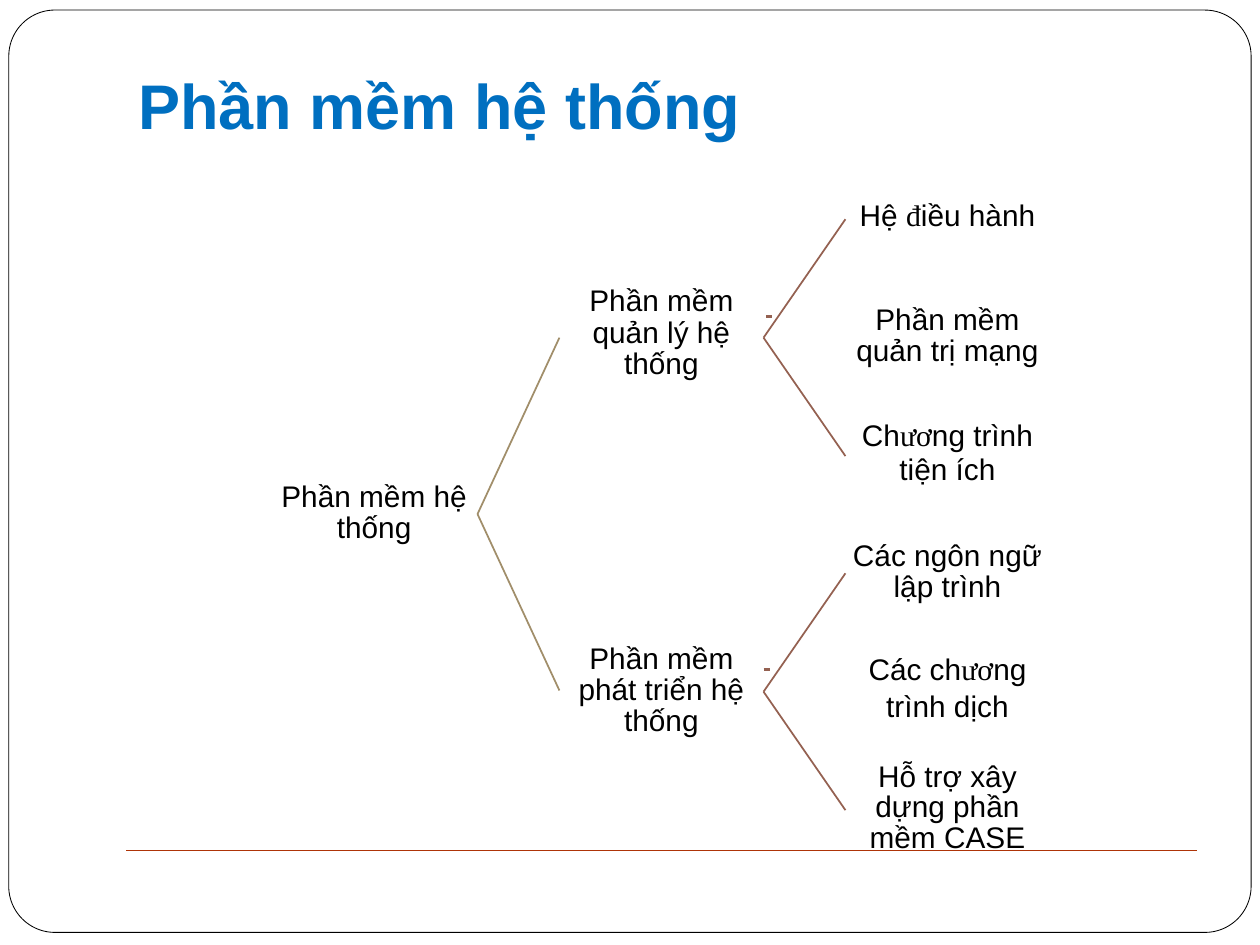
from dataclasses import dataclass
from itertools import groupby

from lxml import etree
from pptx import Presentation
from pptx.dml.color import RGBColor
from pptx.enum.shapes import MSO_CONNECTOR, MSO_SHAPE
from pptx.enum.text import PP_ALIGN
from pptx.oxml.ns import qn
from pptx.util import Inches, Pt

LEFT, CENTER = PP_ALIGN.LEFT, PP_ALIGN.CENTER
STRAIGHT = MSO_CONNECTOR.STRAIGHT
ROUNDED = MSO_SHAPE.ROUNDED_RECTANGLE

BLACK = RGBColor(0x00, 0x00, 0x00)
BLUE = RGBColor(0x00, 0x6F, 0xC0)
RUST = RGBColor(0xAE, 0x34, 0x08)
TAN = RGBColor(0xA1, 0x8E, 0x6A)
BROWN = RGBColor(0x94, 0x61, 0x51)

SANS, SERIF = "Arial", "Times New Roman"
SERIF_CHARS = "đươ"  # letters set in the serif font
WIDTH = 1.6  # label width
COLS = (2.97, 5.25, 7.52)  # label centres, by tree level


@dataclass
class Label:
    level: int
    top: float
    text: str
    pitch: float = 17.6


@dataclass
class Fork:
    x: float
    y: float
    rise: float
    color: RGBColor
    run: float = 0.65


LABELS = [
    Label(0, 3.83, "Phần mềm hệ\nthống"),
    Label(1, 2.27, "Phần mềm\nquản lý hệ\nthống", 18),
    Label(1, 5.12, "Phần mềm\nphát triển hệ\nthống"),
    Label(2, 1.58, "Hệ điều hành", 19),
    Label(2, 2.43, "Phần mềm\nquản trị mạng"),
    Label(2, 3.33, "Chương trình\ntiện ích", 19),
    Label(2, 4.3, "Các ngôn ngữ\nlập trình"),
    Label(2, 5.16, "Các chương\ntrình dịch", 21),
    Label(2, 6.05, "Hỗ trợ xây\ndựng phần\nmềm CASE"),
]

FORKS = [
    Fork(3.79, 4.08, 1.4, TAN),
    Fork(6.06, 2.68, 0.94, BROWN),
    Fork(6.06, 5.49, 0.94, BROWN),
]

DASHES = [(6.08, 2.51), (6.06, 5.31)]


def add_text(slide, text: str, left: float, top: float, width: float,
             height: float, *, size: float = 17, color: RGBColor = BLACK,
             bold: bool = False, align=CENTER, pitch: float = 0) -> None:
    box = slide.shapes.add_textbox(Inches(left), Inches(top),
                                   Inches(width), Inches(height))
    frame = box.text_frame
    frame.word_wrap = True
    frame.margin_left = frame.margin_right = 0
    frame.margin_top = frame.margin_bottom = 0
    para = frame.paragraphs[0]
    para.alignment = align
    if pitch:
        para.line_spacing = Pt(pitch)
    for i, line in enumerate(text.split("\n")):
        if i:
            para.add_line_break()
        for serif, chars in groupby(line, lambda c: c in SERIF_CHARS):
            run = para.add_run()
            run.text = "".join(chars)
            run.font.name = SERIF if serif else SANS
            run.font.size = Pt(size)
            run.font.bold = bold
            run.font.color.rgb = color


def add_line(slide, x1: float, y1: float, x2: float, y2: float,
             color: RGBColor, weight: float = 1) -> None:
    line = slide.shapes.add_connector(STRAIGHT, Inches(x1), Inches(y1),
                                      Inches(x2), Inches(y2))
    line.line.color.rgb = color
    line.line.width = Pt(weight)
    etree.SubElement(line._element.spPr, qn("a:effectLst"))


def add_frame(slide) -> None:
    frame = slide.shapes.add_shape(ROUNDED, Inches(0.07), Inches(0.08),
                                   Inches(9.86), Inches(7.32))
    frame.adjustments[0] = 0.05
    frame.shadow.inherit = False
    frame.fill.background()
    frame.line.color.rgb = BLACK
    frame.line.width = Pt(0.48)


def main() -> None:
    deck = Presentation()
    deck.slide_width, deck.slide_height = Inches(10), Inches(7.5)
    slide = deck.slides.add_slide(deck.slide_layouts[6])

    # Frame, footer rule and title
    add_frame(slide)
    add_line(slide, 1, 6.75, 9.5, 6.75, RUST, 0.78)
    add_text(slide, "Phần mềm hệ thống", 1.1, 0.53, 5.5, 0.63,
             size=36, color=BLUE, bold=True, align=LEFT)

    # Branches of the tree
    for fork in FORKS:
        for rise in (-fork.rise, fork.rise):
            add_line(slide, fork.x, fork.y, fork.x + fork.run,
                     fork.y + rise, fork.color)
    for x, y in DASHES:
        add_line(slide, x, y, x + 0.05, y, BROWN, 1.75)

    # Labels of the tree
    for label in LABELS:
        rows = label.text.count("\n") + 1
        add_text(slide, label.text, COLS[label.level] - WIDTH / 2, label.top,
                 WIDTH, rows * label.pitch / 72, pitch=label.pitch)

    deck.save("out.pptx")


if __name__ == "__main__":
    main()
